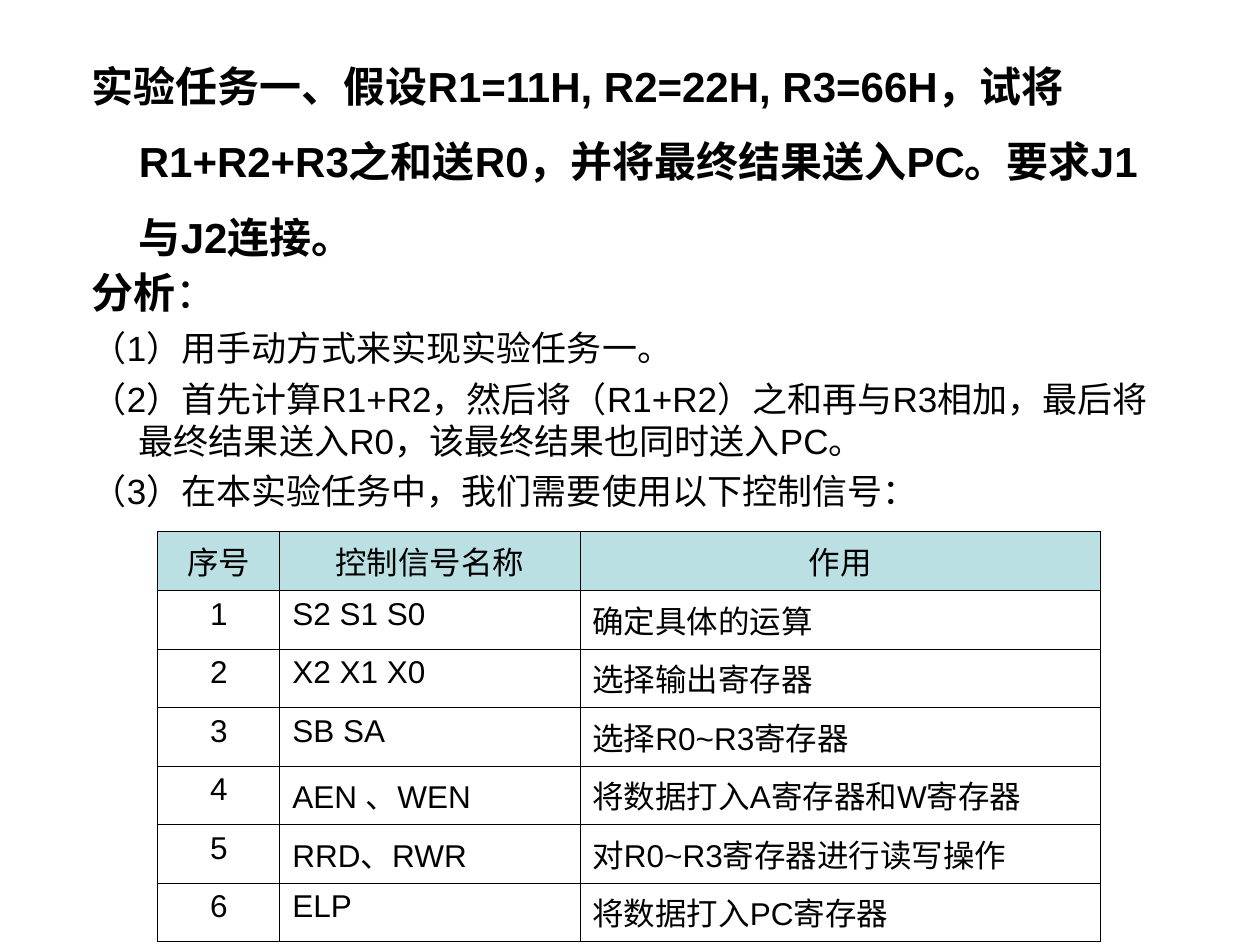
from lxml import etree
from pptx import Presentation
from pptx import util as u
from pptx.dml.color import RGBColor
from pptx.enum import text
from pptx.oxml import ns

BLACK = RGBColor(0x00, 0x00, 0x00)
HEADER_FILL = RGBColor(0xBB, 0xE0, 0xE3)
FONT = "Arial"

TASK = [
    (["实验任务一、假设R1=11H, R2=22H, R3=66H，试将R1+R2+R3之和送R0，"
      "并将最终结果送入PC。要求J1与J2连接。"], 24, 1.5, 6),
    (["分析", "："], 24, 0.9, 6),
    (["（1）用手动方式来实现实验任务一。"], 20, 1.0, 5),
    (["（2）首先计算R1+R2，然后将（R1+R2）之和再与R3相加，"
      "最后将最终结果送入R0，该最终结果也同时送入PC。"], 20, 1.0, 5),
    (["（3）在本实验任务中，我们需要使用以下控制信号："], 20, 1.0, 5),
]
SIGNALS = [
    ("序号", "控制信号名称", "作用"),
    ("1", "S2 S1 S0", "确定具体的运算"),
    ("2", "X2 X1 X0", "选择输出寄存器"),
    ("3", "SB SA", "选择R0~R3寄存器"),
    ("4", "AEN 、WEN", "将数据打入A寄存器和W寄存器"),
    ("5", "RRD、RWR", "对R0~R3寄存器进行读写操作"),
    ("6", "ELP", "将数据打入PC寄存器"),
]
COLUMN_WIDTHS = [2.46, 6.05, 10.49]


def format_run(r, size, bold=False):
    """Give a run the slide's font and colour."""
    r.font.name = FONT
    r.font.size = u.Pt(size)
    r.font.bold = bold
    r.font.color.rgb = BLACK


def add_task(slide, left, top, width, height):
    """Add the task statement and its analysis with hanging indents."""
    sp = slide.shapes.add_textbox(left, top, width, height)
    tf = sp.text_frame
    tf.word_wrap = True
    for i, (parts, size, spacing, before) in enumerate(TASK):
        p = tf.add_paragraph() if i else tf.paragraphs[0]
        p.line_spacing = spacing
        p.space_before = u.Pt(before)
        pPr = p._p.get_or_add_pPr()
        pPr.set("marL", str(u.Cm(0.95)))
        pPr.set("indent", str(u.Cm(-0.95)))
        for j, part in enumerate(parts):
            r = p.add_run()
            r.text = part
            format_run(r, size, bold=size == 24 and j == 0)


def add_borders(cell):
    """Draw a thin black line on each side of a cell."""
    tcPr = cell._tc.get_or_add_tcPr()
    for side in ("lnL", "lnR", "lnT", "lnB"):
        ln = etree.SubElement(tcPr, ns.qn(f"a:{side}"), w=str(u.Pt(0.45)))
        fill = etree.SubElement(ln, ns.qn("a:solidFill"))
        etree.SubElement(fill, ns.qn("a:srgbClr"), val=str(BLACK))


def add_signal_table(slide, left, top, width, height):
    """Add the table of control signals, with columns shared out over the width."""
    table = slide.shapes.add_table(
        len(SIGNALS), len(COLUMN_WIDTHS), left, top, width, height).table
    for column, share in zip(table.columns, COLUMN_WIDTHS):
        column.width = int(width * share / sum(COLUMN_WIDTHS))
    for i, row in enumerate(SIGNALS):
        table.rows[i].height = height // len(SIGNALS)
        for j, label in enumerate(row):
            cell = table.cell(i, j)
            add_borders(cell)
            if i == 0:
                cell.fill.solid()
                cell.fill.fore_color.rgb = HEADER_FILL
            else:
                cell.fill.background()
            p = cell.text_frame.paragraphs[0]
            p.text = label
            centred = i == 0 or j == 0
            p.alignment = text.PP_ALIGN.CENTER if centred else text.PP_ALIGN.LEFT
            format_run(p.runs[0], 18)


def main():
    """Build and save the slide."""
    prs = Presentation()
    prs.slide_width, prs.slide_height = u.Cm(25.4), u.Cm(19.05)
    slide = prs.slides.add_slide(prs.slide_layouts[6])
    add_task(slide, u.Cm(1.6), u.Cm(0.58), u.Cm(21.82), u.Cm(10.52))
    add_signal_table(slide, u.Cm(3.18), u.Cm(10.72), u.Cm(19), u.Cm(8.26))
    prs.save("out.pptx")


if __name__ == "__main__":
    main()
